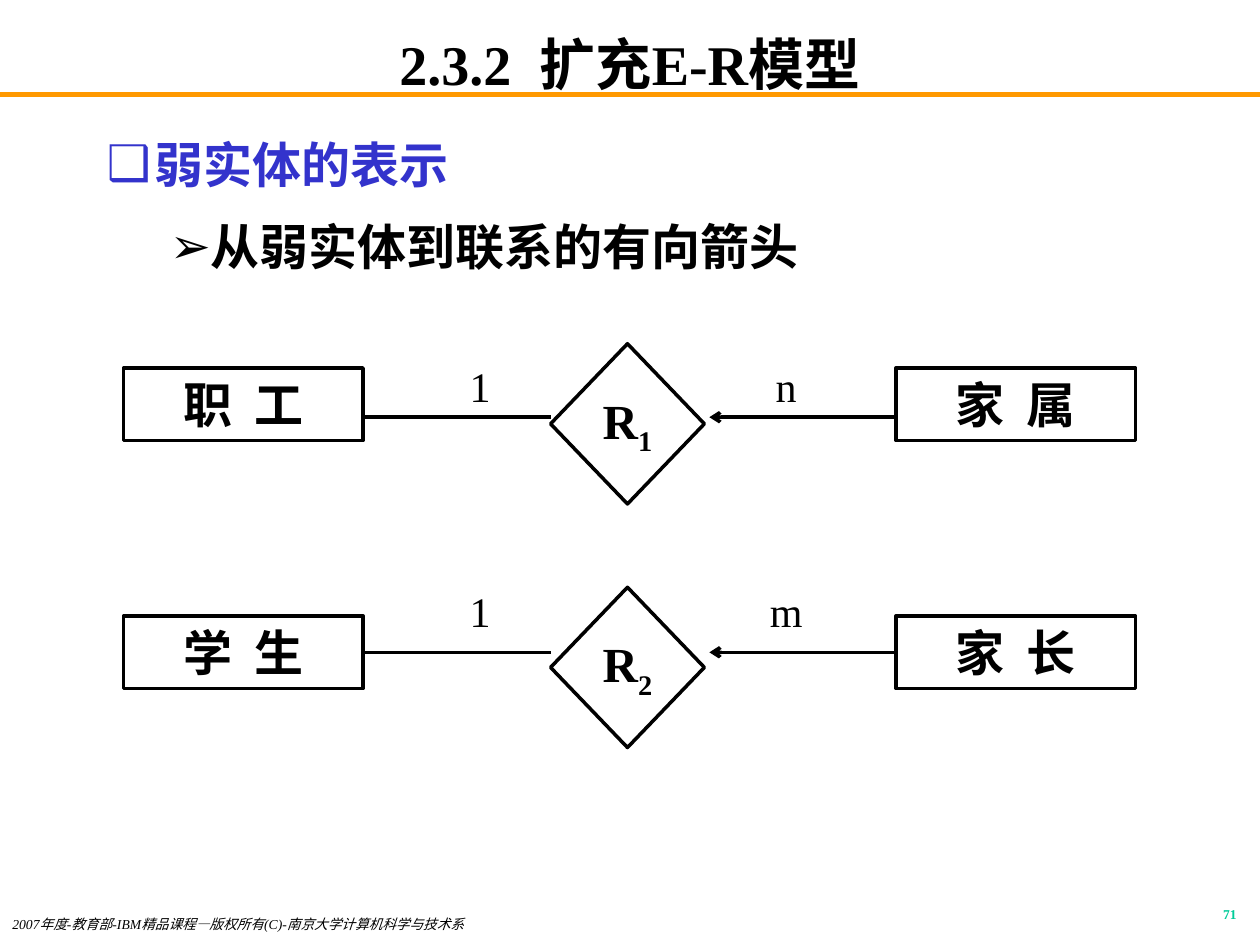
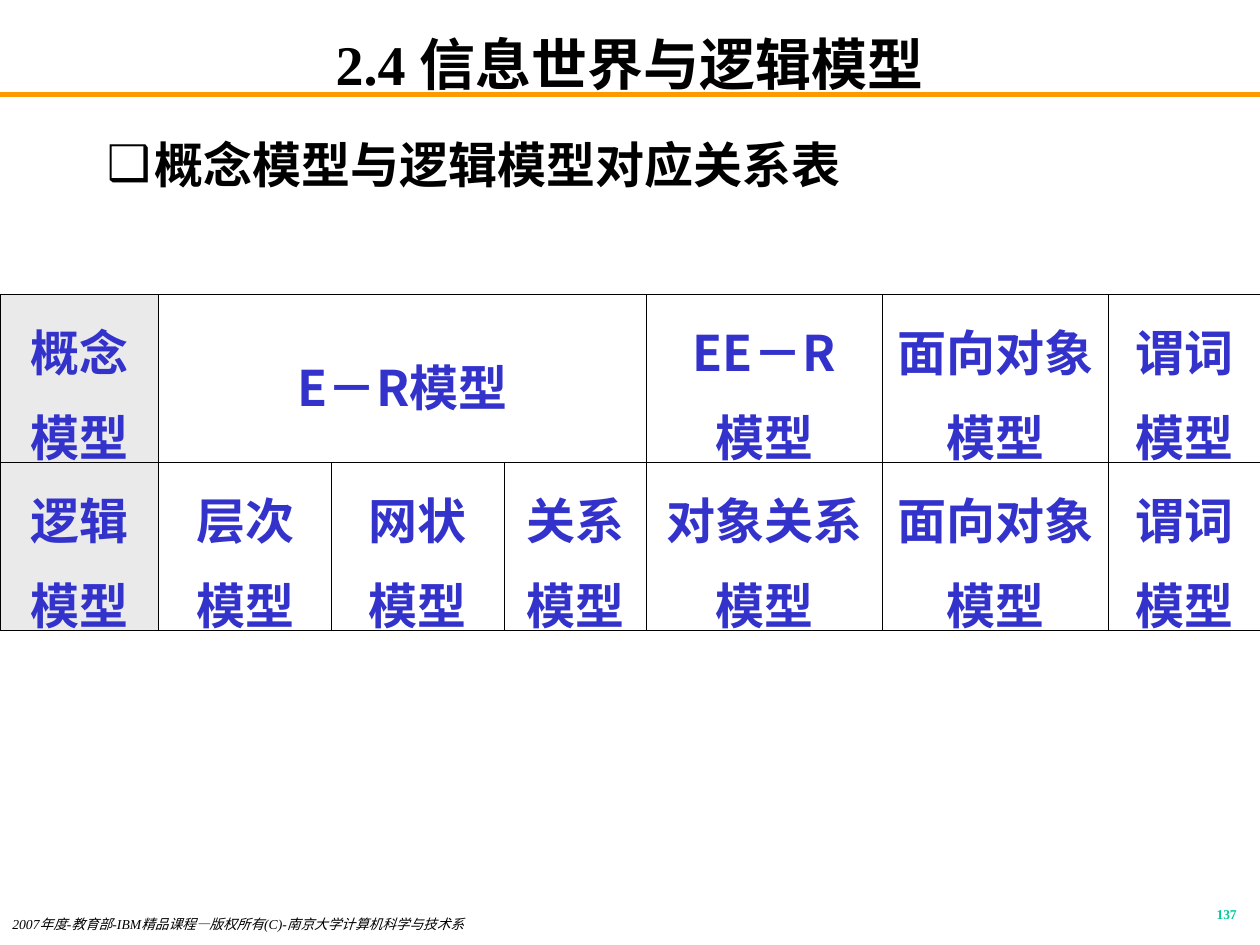
import pptx
import pptx.dml.color
import pptx.enum.shapes
import pptx.enum.text
import pptx.oxml
import pptx.oxml.ns
import pptx.util
from lxml import etree

Cm = pptx.util.Cm
Pt = pptx.util.Pt
ALIGN = pptx.enum.text.PP_ALIGN
ANCHOR = pptx.enum.text.MSO_ANCHOR
SHAPE = pptx.enum.shapes.MSO_SHAPE
qn = pptx.oxml.ns.qn

LATIN = "Times New Roman"
CHINESE = "Noto Sans CJK SC"
BLACK, BLUE, ORANGE, GREEN, GREY = "000000", "3333CC", "FF9900", "00CC99", "EAEAEA"
COPYRIGHT = "2007年度-教育部-IBM精品课程—版权所有(C)-南京大学计算机科学与技术系"

PAGE_WIDTH = 25.4
ENTITY_WIDTH, ENTITY_HEIGHT = 4.83, 1.46
ENTITY_LEFTS = (2.49, 18.06)
DIAMOND_LEFT, DIAMOND_WIDTH, DIAMOND_HEIGHT = 11.1, 3.1, 3.23
ARROW_TIP = 14.3
LABEL_CENTRES = (9.68, 15.85)


def rgb(value):
    return pptx.dml.color.RGBColor.from_string(value)


def add_span(para, text, size, color=BLACK, bold=False, italic=False):
    span = para.add_run()
    span.text = text
    font = span.font
    font.name, font.size, font.bold, font.italic = LATIN, Pt(size), bold, italic
    font.color.rgb = rgb(color)
    return span


def place(shape, left, top, width, height):
    shape.left, shape.top, shape.width, shape.height = map(Cm, (left, top, width, height))


def add_line(page, start, end, color=BLACK, width=2, arrow=False):
    line = page.shapes.add_connector(
        pptx.enum.shapes.MSO_CONNECTOR.STRAIGHT, *map(Cm, start + end))
    line.line.color.rgb = rgb(color)
    line.line.width = Pt(width)
    if arrow:
        etree.SubElement(line.line._get_or_add_ln(), qn("a:tailEnd"), type="arrow")
    etree.SubElement(line._element.spPr, qn("a:effectLst"))
    return line


def add_text(page, area, text, size, align, spacing=1.0, wrap=True, **style):
    box = page.shapes.add_textbox(*map(Cm, area))
    box.text_frame.word_wrap = wrap
    para = box.text_frame.paragraphs[0]
    para.alignment, para.line_spacing = align, spacing
    add_span(para, text, size, **style)


def add_outlined(page, kind, area, text, subscript=""):
    """Add an unfilled shape with a centred name and an optional subscript."""
    shape = page.shapes.add_shape(kind, *map(Cm, area))
    shape.shadow.inherit = False
    shape.fill.background()
    shape.line.color.rgb = rgb(BLACK)
    shape.line.width = Pt(2)
    frame = shape.text_frame
    frame.word_wrap = False
    frame.vertical_anchor = ANCHOR.MIDDLE
    para = frame.paragraphs[0]
    para.alignment = ALIGN.CENTER
    add_span(para, text, 28, bold=True)
    if subscript:
        span = add_span(para, subscript, 28, bold=True)
        span.font._element.set("baseline", "-25000")
    return shape


def add_bullet(para, mark, color, margin, hanging):
    properties = para._p.get_or_add_pPr()
    properties.set("marL", str(Cm(margin)))
    properties.set("indent", str(-Cm(hanging)))
    bullet_color = etree.SubElement(properties, qn("a:buClr"))
    etree.SubElement(bullet_color, qn("a:srgbClr"), val=color)
    etree.SubElement(properties, qn("a:buChar"), char=mark)


def fill_body(page, height, items):
    """Write (level, text, color) items as a bulleted list."""
    body = page.placeholders[1]
    place(body, 1.9, 2.34, 21.6, height)
    frame = body.text_frame
    frame.auto_size = pptx.enum.text.MSO_AUTO_SIZE.NONE
    frame.vertical_anchor = ANCHOR.TOP
    bullets = (("❑", 0.97, 0.97), ("➢", 2.06, 0.79))
    for index, (level, text, color) in enumerate(items):
        para = frame.add_paragraph() if index else frame.paragraphs[0]
        mark, margin, hanging = bullets[level]
        add_bullet(para, mark, color, margin, hanging)
        para.level = level
        para.line_spacing = 1.2
        para.space_before = Pt(7 if index else 0)
        add_span(para, text, 28, color, bold=True)


def add_page(deck, title, number):
    """Add a page with its title, rule, copyright line and page number."""
    page = deck.slides.add_slide(deck.slide_layouts[1])
    add_line(page, (0, 1.9), (PAGE_WIDTH, 1.9), ORANGE, 3)
    place(page.shapes.title, 1.9, 0.64, 21.6, 1.27)
    frame = page.shapes.title.text_frame
    frame.auto_size = pptx.enum.text.MSO_AUTO_SIZE.NONE
    frame.vertical_anchor = ANCHOR.MIDDLE
    frame.margin_top = frame.margin_bottom = 0
    para = frame.paragraphs[0]
    para.alignment = ALIGN.CENTER
    add_span(para, title, 32, bold=True)
    add_text(page, (0, 18.41, 13.97, 0.64), COPYRIGHT, 7.8, ALIGN.LEFT, 0.8, italic=True)
    add_text(page, (19.9, 18.2, 5.28, 0.64), number, 7.7, ALIGN.RIGHT, 0.8,
             color=GREEN, bold=True)
    return page


def add_relationship(page, entities, subscript, counts, entity_top, diamond_top,
                     line_y, label_top):
    """Draw owner entity, diamond and weak entity with their two lines."""
    owner, weak = [
        add_outlined(page, SHAPE.RECTANGLE, (left, entity_top, ENTITY_WIDTH, ENTITY_HEIGHT), name)
        for left, name in zip(ENTITY_LEFTS, entities)]
    add_outlined(page, SHAPE.FLOWCHART_DECISION,
                 (DIAMOND_LEFT, diamond_top, DIAMOND_WIDTH, DIAMOND_HEIGHT), "R", subscript)
    owner_line = add_line(page, (ENTITY_LEFTS[0] + ENTITY_WIDTH, line_y), (DIAMOND_LEFT, line_y))
    weak_line = add_line(page, (ENTITY_LEFTS[1], line_y), (ARROW_TIP, line_y), arrow=True)
    if abs(line_y - entity_top - ENTITY_HEIGHT / 2) < 0.01:
        owner_line.begin_connect(owner, 3)
        weak_line.begin_connect(weak, 1)
    for centre, count in zip(LABEL_CENTRES, counts):
        add_text(page, (centre - 0.6, label_top, 1.2, 1.27), count, 24, ALIGN.CENTER, wrap=False)


def format_cell(cell, lines, fill=None):
    properties = cell._tc.get_or_add_tcPr()
    for side in ("lnL", "lnR", "lnT", "lnB"):
        border = etree.SubElement(properties, qn("a:" + side), w=str(Pt(0.45)))
        solid = etree.SubElement(border, qn("a:solidFill"))
        etree.SubElement(solid, qn("a:srgbClr"), val=BLACK)
    if fill:
        cell.fill.solid()
        cell.fill.fore_color.rgb = rgb(fill)
    else:
        cell.fill.background()
    cell.vertical_anchor = ANCHOR.MIDDLE
    for index, text in enumerate(lines):
        frame = cell.text_frame
        para = frame.add_paragraph() if index else frame.paragraphs[0]
        para.alignment, para.line_spacing = ALIGN.CENTER, 1.2
        span = add_span(para, text, 28, BLUE, bold=True)
        span.font.name = CHINESE
        etree.SubElement(span.font._element, qn("a:ea"), typeface=CHINESE)


def add_model_table(page, widths, rows):
    """Add the table; an empty text continues the cell on its left."""
    frame = page.shapes.add_table(len(rows), len(widths), 0, Cm(5.93),
                                  Cm(PAGE_WIDTH), Cm(3.39 * len(rows)))
    table = frame.table
    table.first_row = table.horz_banding = False
    for column, width in zip(table.columns, widths):
        column.width = Cm(width)
    for row_index, row in enumerate(rows):
        for column_index, text in enumerate(row):
            cell = table.cell(row_index, column_index)
            format_cell(cell, text.split("|") if text else [], None if column_index else GREY)
    table.cell(0, 1).merge(table.cell(0, 3))


def main():
    deck = pptx.Presentation()
    deck.slide_width, deck.slide_height = Cm(PAGE_WIDTH), Cm(19.05)

    page = add_page(deck, "2.3.2  扩充E-R模型", "71")
    fill_body(page, 3.6, [(0, "弱实体的表示", BLUE), (1, "从弱实体到联系的有向箭头", BLACK)])
    add_relationship(page, ("职  工", "家  属"), "1", "1n",
                     entity_top=7.42, diamond_top=6.93, line_y=8.41, label_top=7.14)
    add_relationship(page, ("学  生", "家  长"), "2", "1m",
                     entity_top=12.42, diamond_top=11.84, line_y=13.15, label_top=11.68)

    page = add_page(deck, "2.4 信息世界与逻辑模型", "137")
    fill_body(page, 15.44, [(0, "概念模型与逻辑模型对应关系表", BLACK)])
    add_model_table(page, (3.2, 3.48, 3.48, 2.87, 4.75, 4.57, 3.05), (
        ("概念|模型", "E－R模型", "", "", "EE－R|模型", "面向对象|模型", "谓词|模型"),
        ("逻辑|模型", "层次|模型", "网状|模型", "关系|模型", "对象关系|模型",
         "面向对象|模型", "谓词|模型")))

    deck.save("out.pptx")


if __name__ == "__main__":
    main()
